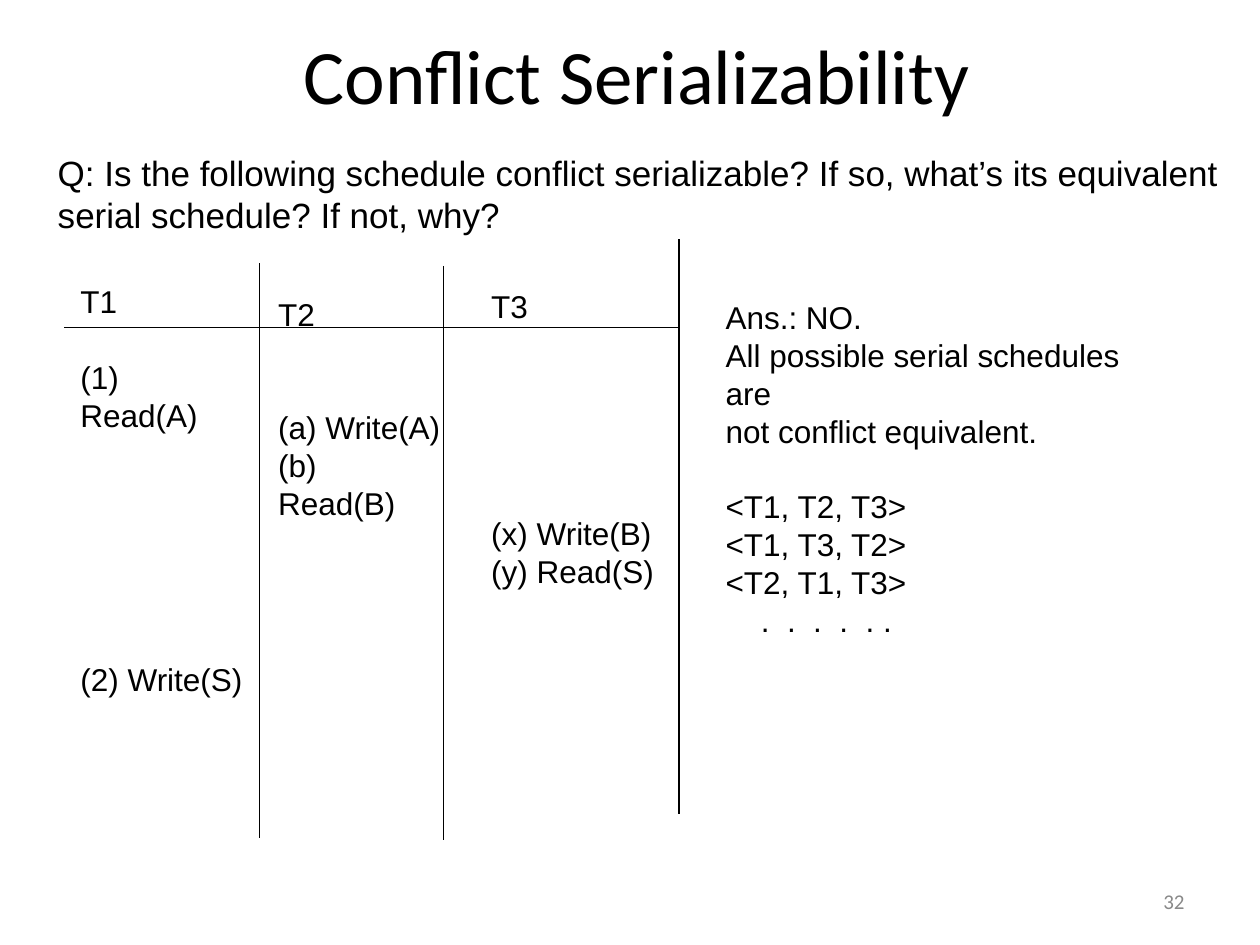
import pptx
import pptx.util
import pptx.dml.color
import pptx.enum.text
import pptx.enum.shapes
from lxml import etree

Inches, Pt = pptx.util.Inches, pptx.util.Pt
ALIGN = pptx.enum.text.PP_ALIGN
ANCHOR = pptx.enum.text.MSO_ANCHOR

COLORS = {"text": "000000", "number": "898989", "background": "FFFFFF"}
LINE_RATIO = 1.2  # line pitch of body text, as a multiple of its size

# Body blocks: box (left, top, width, height), size, and lines as
# (text, empty lines above, left indent)
BLOCKS = [
    ((0.36, 1.15, 9.49, 0.77), 20, [
        ("Q: Is the following schedule conflict serializable? "
         "If so, what’s its equivalent", 0, 0),
        ("serial schedule? If not, why?", 0, 0)]),
    ((0.54, 2.19, 1.5, 3.1), 18, [
        ("T1", 0, 0), ("(1) Read(A)", 1, 0), ("(2) Write(S)", 6, 0)]),
    ((2.11, 2.29, 1.5, 1.9), 18, [
        ("T2", 0, 0), ("(a) Write(A)", 2, 0), ("(b) Read(B)", 0, 0)]),
    ((3.8, 2.23, 1.49, 2.5), 18, [
        ("T3", 0, 0), ("(x) Write(B)", 5, 0), ("(y) Read(S)", 0, 0)]),
    ((5.66, 2.32, 3.75, 2.5), 18, [
        ("Ans.: NO.", 0, 0),
        ("All possible serial schedules are", 0, 0),
        ("not conflict equivalent.", 0, 0),
        ("<T1, T2, T3>", 1, 0),
        ("<T1, T3, T2>", 0, 0),
        ("<T2, T1, T3>", 0, 0),
        (".  .  .  .  . .", 0, 0.28)]),
]

HEADER_RULE = (0.51, 2.6, 5.38, 2.6)
COLUMN_RULES = [(2.06, 2.09), (3.52, 2.11), (5.39, 1.9)]  # x, top
COLUMN_HEIGHT = 4.56


def add_text(s, box, lines, size, font="Arial", color="text",
             align=ALIGN.LEFT, anchor=ANCHOR.TOP, wrap=False, pitch=None):
    """Add a text box; each line is (text, empty lines above, indent)."""
    tf = s.shapes.add_textbox(*map(Inches, box)).text_frame
    tf.word_wrap, tf.vertical_anchor = wrap, anchor
    for i, (text, gap, indent) in enumerate(lines):
        p = tf.paragraphs[0] if i == 0 else tf.add_paragraph()
        p.alignment = align
        if pitch:
            p.line_spacing = Pt(pitch)
            p.space_before = Pt(gap * pitch)
        if indent:
            p._p.get_or_add_pPr().set("marL", str(Inches(indent)))
        r = p.add_run()
        r.text = text
        for key, value in {"size": Pt(size), "name": font}.items():
            setattr(r.font, key, value)
        r.font.color.rgb = pptx.dml.color.RGBColor.from_string(COLORS[color])


def add_rule(s, x1, y1, x2, y2):
    """Add a thin straight line without a shadow."""
    sp = s.shapes.add_connector(pptx.enum.shapes.MSO_CONNECTOR.STRAIGHT,
                                *map(Inches, (x1, y1, x2, y2)))
    sp.line.width = Pt(0.74)
    sp.line.color.rgb = pptx.dml.color.RGBColor.from_string(COLORS["text"])
    etree.SubElement(sp._element.spPr, pptx.oxml.ns.qn("a:effectLst"))


def build():
    """Build the slide and save it."""
    prs = pptx.Presentation()
    prs.slide_width, prs.slide_height = Inches(10), Inches(7.5)
    s = prs.slides.add_slide(prs.slide_layouts[6])
    s.background.fill.solid()
    s.background.fill.fore_color.rgb = pptx.dml.color.RGBColor.from_string(
        COLORS["background"])

    add_text(s, (0.64, 0.17, 8.83, 0.83), [("Conflict Serializability", 0, 0)],
             44, "Calibri", align=ALIGN.CENTER, anchor=ANCHOR.MIDDLE, wrap=True)
    for box, size, lines in BLOCKS:
        add_text(s, box, lines, size, pitch=size * LINE_RATIO)
    add_rule(s, *HEADER_RULE)
    for x, top in COLUMN_RULES:
        add_rule(s, x, top, x, top + COLUMN_HEIGHT)
    add_text(s, (7.17, 6.95, 2.33, 0.4), [("32", 0, 0)], 12, "Calibri",
             "number", ALIGN.RIGHT, ANCHOR.MIDDLE, True)
    prs.save("out.pptx")


build()
